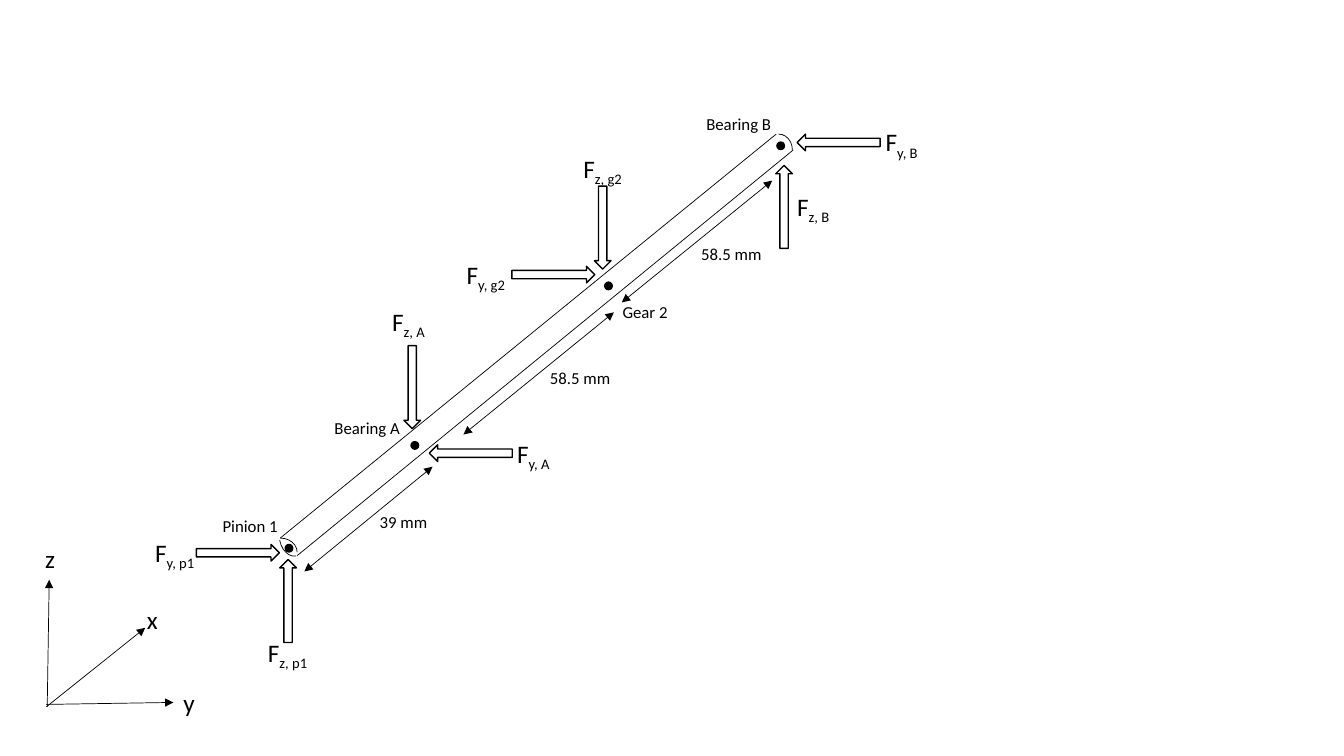
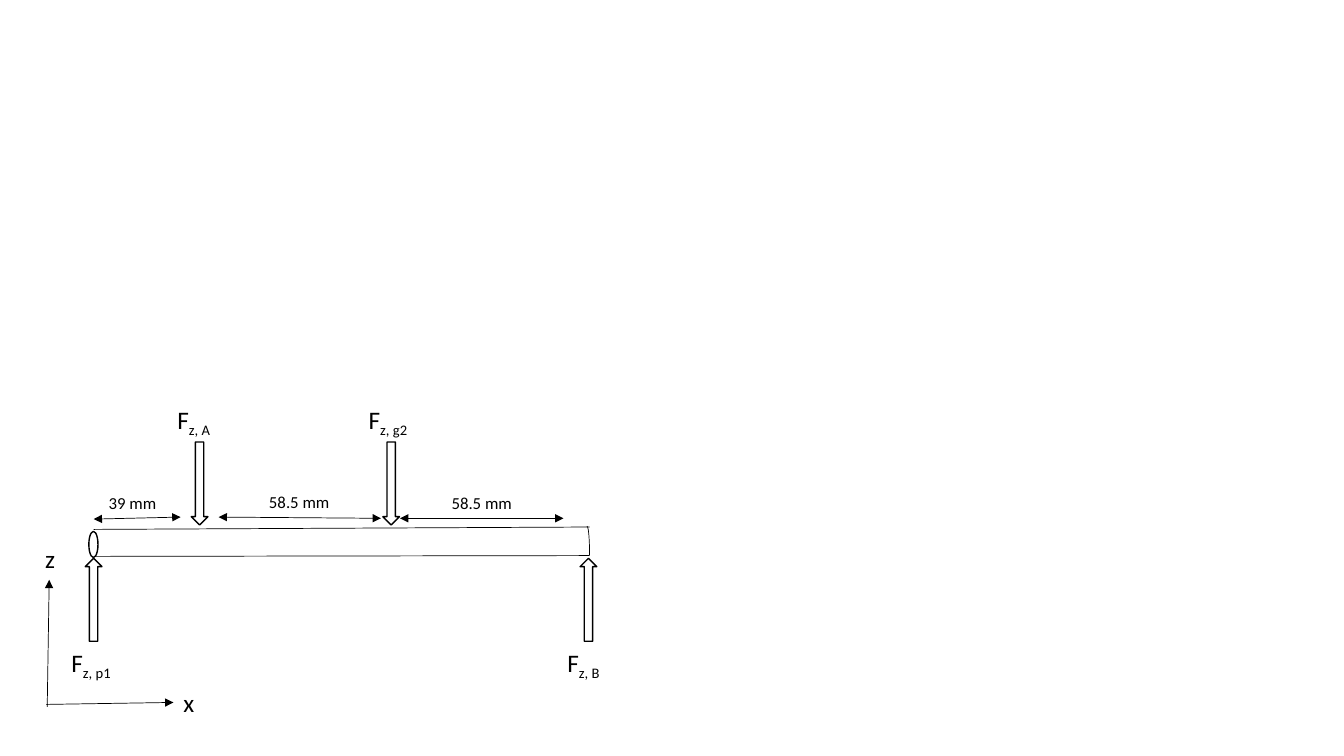
from pptx import Presentation
from pptx import util as u
from pptx.dml.color import RGBColor
from pptx.enum import shapes, text
from pptx.oxml import ns
from lxml import etree

BLACK = RGBColor(0, 0, 0)
WHITE = RGBColor(255, 255, 255)
FONT = "Calibri"
BIG, SMALL = 18, 12
THIN, MEDIUM = 0.5, 1
ARROW_LENGTH, ARROW_WIDTH = 2.09, 0.42
DOT = 0.19
KIND = shapes.MSO_SHAPE
ARROWS = {"up": KIND.UP_ARROW, "down": KIND.DOWN_ARROW,
          "left": KIND.LEFT_ARROW, "right": KIND.RIGHT_ARROW}
FORCE_WIDTHS = {"p1": 1.63, "g2": 1.6, "A": 1.42, "B": 1.41}

# All lengths are centimetres.
# axes: start, end, letter, letter position
# shaft: start, end; arcs and ends: left, top, width, height, rotation
# forces: axis, place, direction, tip, label position
# spans: start, end, label, label position, label width
# dots: left, top; names: label, position, width
Z_AXIS = ((1.19, 17.81), (1.24, 14.61), "z", (0.89, 13.56))
BASE_START, BASE_END, BASE_LETTER = (1.17, 17.75), (4.37, 17.7), (4.37, 17.2)

SPATIAL = {
    "axes": [
        Z_AXIS,
        (BASE_START, BASE_END, "y", BASE_LETTER),
        ((1.17, 17.81), (3.66, 15.82), "x", (3.45, 15.11)),
    ],
    "shaft": [((7.06, 13.56), (19.56, 3.38)), ((7.49, 14), (19.99, 3.78))],
    "ends": [],
    "arcs": [
        (19.28, 3.38, 0.69, 0.79, 0),
        (6.65, 13.56, 0.84, 0.71, 0),
        (7.04, 13.08, 0.66, 0.94, 169),
    ],
    "forces": [
        ("z", "p1", "up", (7.26, 14.1), (6.5, 15.93)),
        ("z", "A", "down", (10.39, 10.8), (9.63, 7.59)),
        ("z", "g2", "down", (15.19, 6.78), (14.45, 3.73)),
        ("z", "B", "up", (19.76, 4.17), (19.84, 4.7)),
        ("y", "p1", "right", (7.04, 13.93), (3.66, 13.41)),
        ("y", "g2", "right", (14.99, 6.92), (11.51, 6.4)),
        ("y", "A", "left", (10.82, 11.42), (12.78, 10.92)),
        ("y", "B", "left", (20.09, 3.59), (22.07, 3.07)),
    ],
    "spans": [
        ((7.67, 14.4), (10.9, 11.76), "39 mm", (9.32, 12.78), 1.73),
        ((11.68, 10.95), (15.47, 7.87), "58.5 mm", (13.61, 9.14), 2.06),
        ((15.67, 7.62), (19.46, 4.55), "58.5 mm", (17.42, 6.02), 2.06),
    ],
    "dots": [(7.19, 13.72), (10.36, 11.13), (19.58, 3.58), (15.24, 7.11)],
    "names": [
        ("Pinion 1", (5.36, 12.88), 1.93),
        ("Bearing A", (8.18, 10.41), 2.18),
        ("Gear 2", (15.44, 7.49), 1.68),
        ("Bearing B", (17.55, 2.74), 2.16),
    ],
}

SIDE = {
    "axes": [Z_AXIS, (BASE_START, BASE_END, "x", BASE_LETTER)],
    "shaft": [((2.36, 13.34), (14.86, 13.28)), ((2.36, 14.02), (14.86, 14))],
    "ends": [(2.24, 13.39, 0.23, 0.66)],
    "arcs": [(14.73, 13.26, 0.13, 1.45, 0)],
    "forces": [
        ("z", "p1", "up", (2.36, 14.07), (1.55, 16.18)),
        ("z", "A", "down", (5.03, 13.23), (4.22, 10.06)),
        ("z", "g2", "down", (9.86, 13.23), (9.04, 10.06)),
        ("z", "B", "up", (14.83, 14.07), (14.05, 16.18)),
    ],
    "spans": [
        ((2.36, 13.08), (4.55, 13.03), "39 mm", (2.49, 12.29), 1.73),
        ((5.51, 13.03), (9.6, 13.06), "58.5 mm", (6.53, 12.27), 2.06),
        ((10.08, 13.06), (14.2, 13.06), "58.5 mm", (11.13, 12.29), 2.06),
    ],
    "dots": [],
    "names": [],
}


def add_text(s, content, at, width, size=SMALL, sub="", wrap=False):
    """Add a one-line label with an optional subscript."""
    height = 1.03 if size == BIG else 0.77
    tf = s.shapes.add_textbox(*map(u.Cm, (*at, width, height))).text_frame
    tf.word_wrap = wrap
    tf.auto_size = text.MSO_AUTO_SIZE.SHAPE_TO_FIT_TEXT
    p = tf.paragraphs[0]
    for part in filter(None, (content, sub)):
        r = p.add_run()
        r.text = part
        r.font.name, r.font.size = FONT, u.Pt(size)
        r.font.color.rgb = BLACK
    if sub:
        r.font._element.set("baseline", "-25000")


def add_line(s, start, end, heads=()):
    """Add a thin line; heads names the ends that carry a triangle."""
    c = s.shapes.add_connector(shapes.MSO_CONNECTOR.STRAIGHT,
                               *map(u.Cm, (*start, *end)))
    c.line.color.rgb, c.line.width = BLACK, u.Pt(THIN)
    props = c._element.spPr
    for head in heads:
        etree.SubElement(props.find(ns.qn("a:ln")), ns.qn("a:" + head),
                         type="triangle")
    etree.SubElement(props, ns.qn("a:effectLst"))


def add_outline(s, kind, box, fill=None, weight=MEDIUM, rotation=0):
    """Add a preset shape with a black outline."""
    sp = s.shapes.add_shape(kind, *map(u.Cm, box))
    sp.shadow.inherit = False
    sp.rotation = rotation
    sp.line.color.rgb, sp.line.width = BLACK, u.Pt(weight)
    if fill is None:
        sp.fill.background()
    else:
        sp.fill.solid()
        sp.fill.fore_color.rgb = fill


def arrow_box(way, tip):
    """Return the box of a force arrow that ends at tip."""
    x, y = tip
    if way in ("up", "down"):
        top = y if way == "up" else y - ARROW_LENGTH
        return x - ARROW_WIDTH / 2, top, ARROW_WIDTH, ARROW_LENGTH
    left = x if way == "left" else x - ARROW_LENGTH
    return left, y - ARROW_WIDTH / 2, ARROW_LENGTH, ARROW_WIDTH


def draw_diagram(prs, diagram):
    """Add one slide with a shaft, its forces and its dimensions."""
    s = prs.slides.add_slide(prs.slide_layouts[6])
    for start, end, letter, at in diagram["axes"]:
        add_line(s, start, end, ["tailEnd"])
        add_text(s, letter, at, 0.66, size=BIG, wrap=True)
    for start, end in diagram["shaft"]:
        add_line(s, start, end)
    for box in diagram["ends"]:
        add_outline(s, KIND.OVAL, box, fill=WHITE)
    for *box, rotation in diagram["arcs"]:
        add_outline(s, KIND.ARC, box, weight=THIN, rotation=rotation)
    for axis, place, way, tip, at in diagram["forces"]:
        add_outline(s, ARROWS[way], arrow_box(way, tip))
        add_text(s, "F", at, FORCE_WIDTHS[place], size=BIG,
                 sub=f"{axis}, {place}")
    for start, end, label, at, width in diagram["spans"]:
        add_line(s, start, end, ["headEnd", "tailEnd"])
        add_text(s, label, at, width)
    for at in diagram["dots"]:
        add_outline(s, KIND.OVAL, (*at, DOT, DOT), fill=BLACK)
    for label, at, width in diagram["names"]:
        add_text(s, label, at, width)


prs = Presentation()
prs.slide_width, prs.slide_height = u.Cm(33.87), u.Cm(19.05)
for diagram in (SPATIAL, SIDE):
    draw_diagram(prs, diagram)
prs.save("out.pptx")
